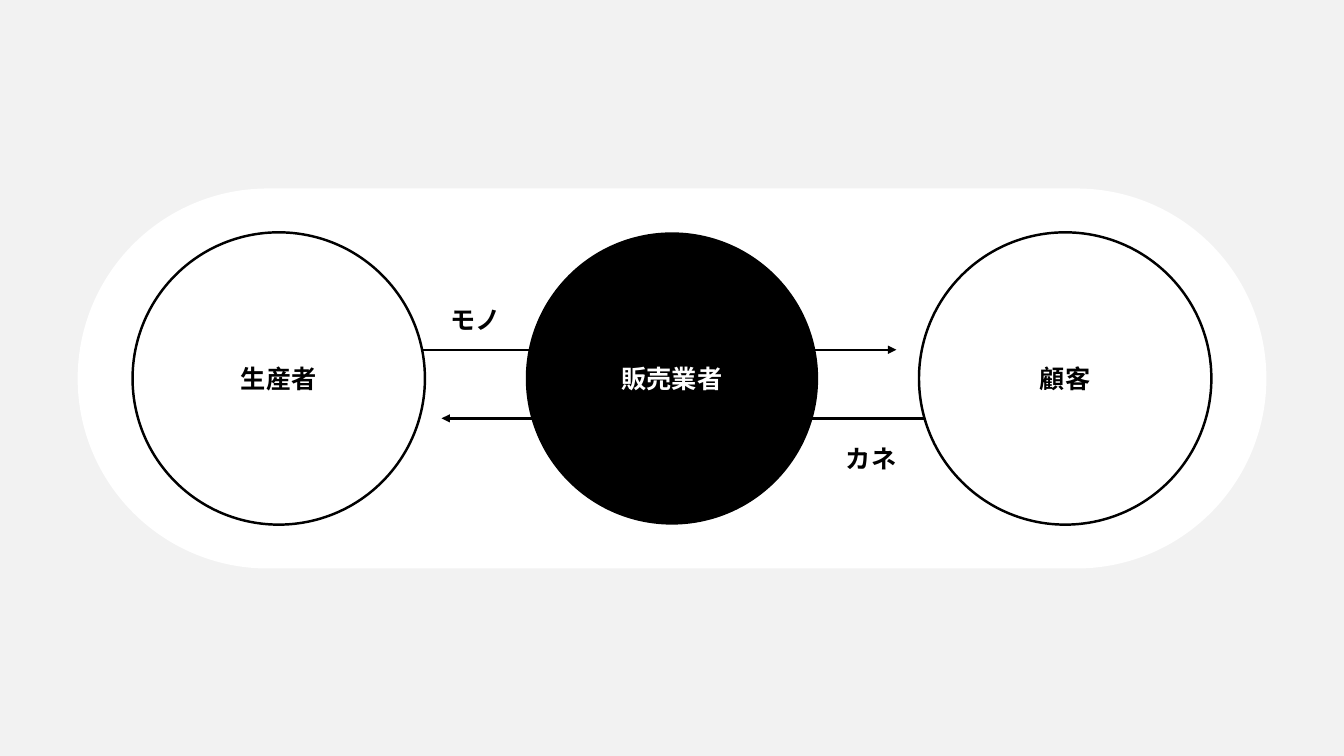
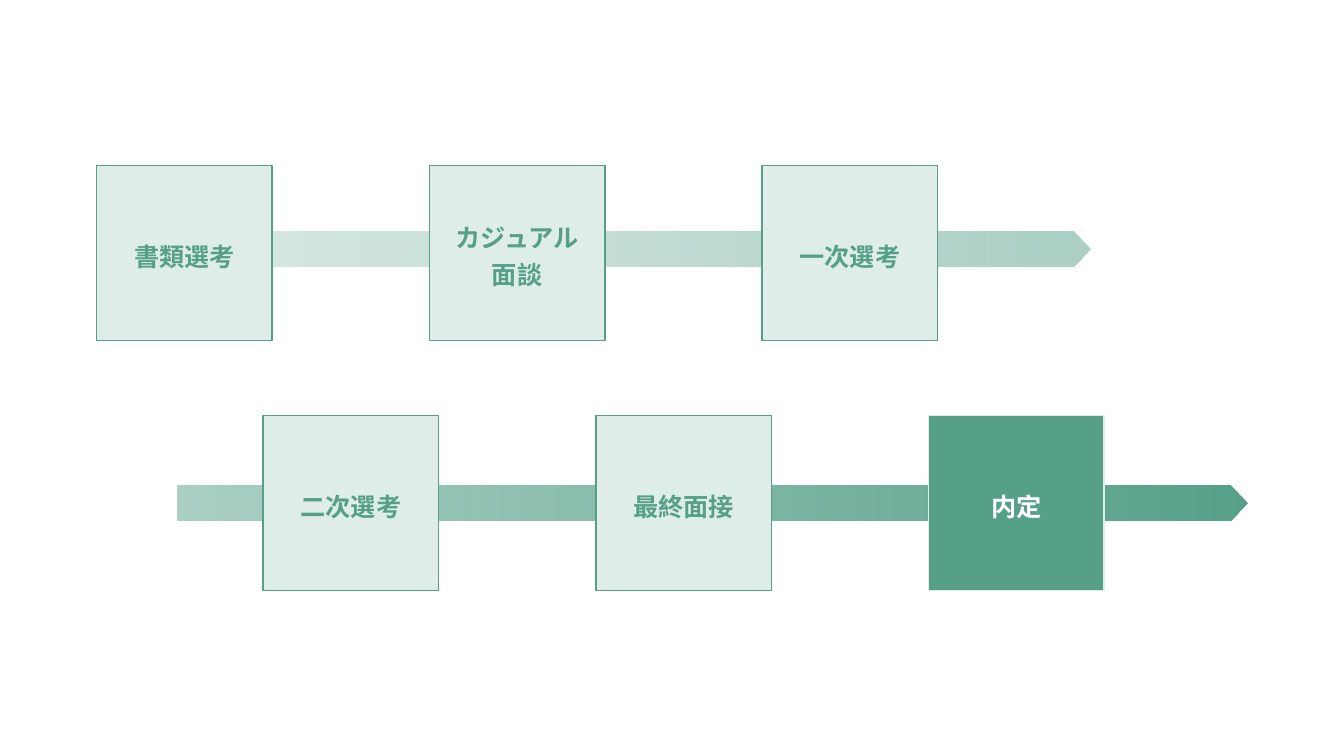
from dataclasses import dataclass

from lxml import etree
from pptx import Presentation
from pptx.dml.color import RGBColor
from pptx.enum.shapes import MSO_CONNECTOR, MSO_SHAPE
from pptx.enum.text import MSO_ANCHOR, MSO_AUTO_SIZE, PP_ALIGN
from pptx.oxml.ns import qn
from pptx.util import Inches, Pt

ROUNDED = MSO_SHAPE.ROUNDED_RECTANGLE
OVAL = MSO_SHAPE.OVAL
RECTANGLE = MSO_SHAPE.RECTANGLE
PENTAGON = MSO_SHAPE.PENTAGON
STRAIGHT = MSO_CONNECTOR.STRAIGHT
CENTER = PP_ALIGN.CENTER
MIDDLE = MSO_ANCHOR.MIDDLE
GROW = MSO_AUTO_SIZE.SHAPE_TO_FIT_TEXT


@dataclass(frozen=True)
class Theme:
    font: str = "Noto Sans CJK JP"
    text_size: int = 18
    line_spacing: float = 1.2
    diagram_line: float = 1.75
    step_line: float = 1
    black: str = "000000"
    white: str = "FFFFFF"
    gray: str = "F2F2F2"
    green: str = "56A089"
    pale_green: str = "DFEDE9"


THEME = Theme()


# Shared helpers
def rgb(color):
    return RGBColor.from_string(color)


def add_slide(presentation, background):
    slide = presentation.slides.add_slide(presentation.slide_layouts[6])
    slide.background.fill.solid()
    slide.background.fill.fore_color.rgb = rgb(background)
    return slide


def add_shape(slide, kind, left, top, width, height, fill=None, line=None, line_width=1):
    shape = slide.shapes.add_shape(kind, Inches(left), Inches(top), Inches(width), Inches(height))
    shape.shadow.inherit = False
    if fill:
        shape.fill.solid()
        shape.fill.fore_color.rgb = rgb(fill)
    if line:
        shape.line.color.rgb = rgb(line)
        shape.line.width = Pt(line_width)
    else:
        shape.line.fill.background()
    return shape


def write_label(shape, text, color, spacing=None, wrap=True):
    frame = shape.text_frame
    frame.word_wrap = wrap
    paragraph = frame.paragraphs[0]
    paragraph.text = text
    paragraph.alignment = CENTER
    if spacing:
        paragraph.line_spacing = spacing
    font = paragraph.font
    font.name = THEME.font
    font.size = Pt(THEME.text_size)
    font.bold = True
    font.color.rgb = rgb(color)
    # Japanese glyphs take the East Asian typeface
    defaults = paragraph._p.pPr.find(qn("a:defRPr"))
    etree.SubElement(defaults, qn("a:ea"), typeface=THEME.font)
    return frame


# Trade diagram
def add_arrow(slide, start, end, y):
    arrow = slide.shapes.add_connector(STRAIGHT, Inches(start), Inches(y), Inches(end), Inches(y))
    arrow.line.color.rgb = rgb(THEME.black)
    arrow.line.width = Pt(THEME.diagram_line)
    etree.SubElement(arrow.line._get_or_add_ln(), qn("a:tailEnd"), type="triangle")
    etree.SubElement(arrow._element.spPr, qn("a:effectLst"))


def add_flow_label(slide, text, left, top):
    box = slide.shapes.add_textbox(Inches(left), Inches(top), Inches(1.04), Inches(0.43))
    frame = write_label(box, text, THEME.black, THEME.line_spacing)
    frame.auto_size = GROW


def add_trade_diagram(slide, left, top, width, height):
    panel = add_shape(slide, ROUNDED, left, top, width, height, THEME.white)
    panel.adjustments[0] = 0.5

    # Goods go right, money goes left, both behind the circles
    add_arrow(slide, left + 3.41, left + 8.12, top + 1.6)
    add_arrow(slide, left + 8.41, left + 3.61, top + 2.28)

    diameter, pitch = 2.9, 3.9
    first = left + (width - 2 * pitch - diameter) / 2
    circle_top = top + (height - diameter) / 2
    parties = [
        ("生産者", THEME.white, THEME.black, THEME.black),
        ("販売業者", THEME.black, None, THEME.white),
        ("顧客", THEME.white, THEME.black, THEME.black),
    ]
    for index, (name, fill, line, color) in enumerate(parties):
        circle = add_shape(slide, OVAL, first + index * pitch, circle_top, diameter, diameter,
                           fill, line, THEME.diagram_line)
        write_label(circle, name, color).vertical_anchor = MIDDLE

    add_flow_label(slide, "モノ", left + 3.43, top + 1.04)
    add_flow_label(slide, "カネ", left + 7.35, top + 2.42)


# Selection process
def add_band(slide, left, top, width, start_opacity, end_opacity):
    band = add_shape(slide, PENTAGON, left, top, width, 0.34)
    band.fill.gradient()
    band.fill.gradient_angle = 0
    for stop, position, opacity in zip(band.fill.gradient_stops, (0, 1),
                                       (start_opacity, end_opacity)):
        stop.position = position
        stop.color.rgb = rgb(THEME.green)
        if opacity < 100:
            color = stop._gs.find(qn("a:srgbClr"))
            etree.SubElement(color, qn("a:alpha"), val=str(opacity * 1000))


def add_step_row(slide, left, top, names, goal=None):
    side, pitch = 1.74, 3.3
    for index, name in enumerate(names):
        fill, line, color = THEME.pale_green, THEME.green, THEME.green
        if name == goal:
            fill, line, color = THEME.green, THEME.pale_green, THEME.white
        step = add_shape(slide, RECTANGLE, left + index * pitch, top, side, side,
                         fill, line, THEME.step_line)
        frame = write_label(step, name, color, THEME.line_spacing, wrap=False)
        frame.vertical_anchor = MIDDLE


def add_selection_process(slide, left, top):
    second_left, second_top = left + 1.65, top + 2.48
    add_band(slide, second_left - 0.85, second_top + 0.7, 10.61, 50, 100)
    add_band(slide, left + 1.74, top + 0.66, 8.12, 26, 50)
    add_step_row(slide, left, top, ["書類選考", "カジュアル\n面談", "一次選考"])
    add_step_row(slide, second_left, second_top, ["二次選考", "最終面接", "内定"], goal="内定")


def main():
    presentation = Presentation()
    presentation.slide_width = Inches(13.33)
    presentation.slide_height = Inches(7.5)
    add_trade_diagram(add_slide(presentation, THEME.gray), 0.77, 1.87, 11.79, 3.77)
    add_selection_process(add_slide(presentation, THEME.white), 0.96, 1.64)
    presentation.save("out.pptx")


if __name__ == "__main__":
    main()
